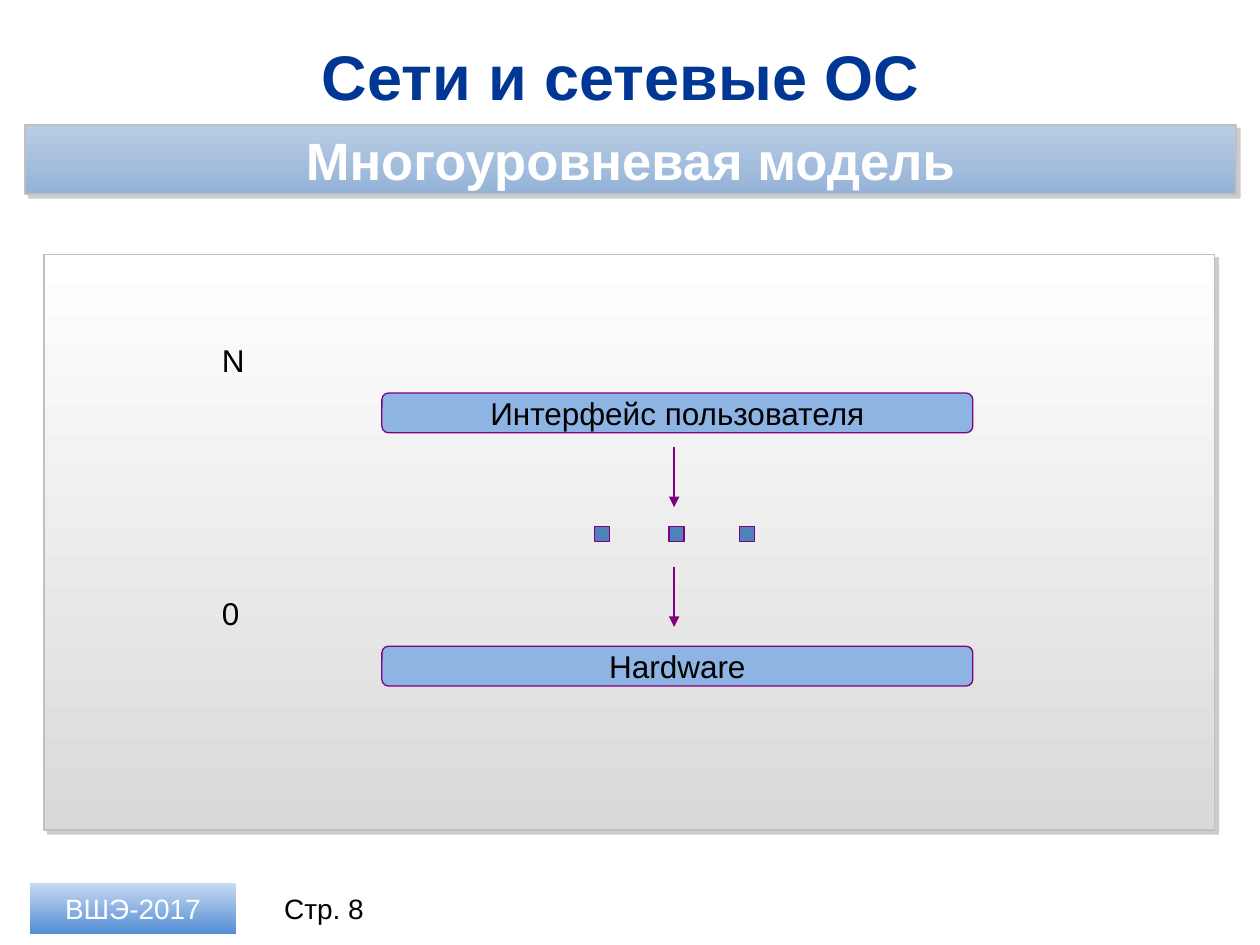
from collections import namedtuple

from lxml import etree
from pptx import Presentation
from pptx import util as u
from pptx.dml.color import RGBColor
from pptx.enum import shapes, text
from pptx.oxml.ns import qn

Pt = u.Pt
Box = namedtuple("Box", "left top width height")
FONT = "Arial"
COLORS = {
    "title": "003794", "white": "FFFFFF", "black": "000000",
    "panel_end": "D9D9D9", "border": "C0C0C0", "shadow": "808080",
    "banner_start": "B9CDE5", "banner_end": "95B3D7",
    "level": "8EB4E3", "outline": "800080", "dot": "4F81BD",
    "footer_start": "C6D9F1", "footer_end": "558ED5",
}


def color(name):
    return RGBColor.from_string(COLORS[name])


def place(shape, box):
    shape.left, shape.top, shape.width, shape.height = map(Pt, box)


def write(shape, words, size, ink, bold=False, align=text.PP_ALIGN.CENTER, wrap=True):
    frame = shape.text_frame
    frame.text = words
    frame.word_wrap = wrap
    frame.vertical_anchor = text.MSO_ANCHOR.MIDDLE
    para = frame.paragraphs[0]
    para.alignment = align
    for span in para.runs:
        span.font.name = FONT
        span.font.size = Pt(size)
        span.font.bold = bold
        span.font.color.rgb = color(ink)


def add_shape(page, kind, box, fills, line=None, width=0.75):
    shape = page.shapes.add_shape(kind, *map(Pt, box))
    shape.shadow.inherit = False
    if len(fills) == 1:
        shape.fill.solid()
        shape.fill.fore_color.rgb = color(fills[0])
    else:
        shape.fill.gradient()
        shape.fill.gradient_angle = 270
        for stop, name in zip(shape.fill.gradient_stops, fills):
            stop.color.rgb = color(name)
    if line:
        shape.line.color.rgb = color(line)
        shape.line.width = Pt(width)
    else:
        shape.line.fill.background()
    return shape


def add_framed_area(page, box, fills):
    area = add_shape(page, shapes.MSO_SHAPE.RECTANGLE, box, fills, "border", 1)
    effects = area._element.spPr.find(qn("a:effectLst"))
    shadow = etree.SubElement(effects, qn("a:outerShdw"), blurRad="0",
                              dist=str(Pt(3)), dir="2700000", algn="tl", rotWithShape="0")
    tint = etree.SubElement(shadow, qn("a:srgbClr"), val=COLORS["shadow"])
    etree.SubElement(tint, qn("a:alpha"), val="40000")
    return area


def add_arrow(page, x, top, length):
    arrow = page.shapes.add_connector(
        shapes.MSO_CONNECTOR.STRAIGHT, Pt(x), Pt(top), Pt(x), Pt(top + length))
    arrow.line.color.rgb = color("outline")
    arrow.line.width = Pt(0.75)
    etree.SubElement(arrow.line._get_or_add_ln(), qn("a:tailEnd"), type="triangle")
    etree.SubElement(arrow._element.spPr, qn("a:effectLst"))


def add_text(page, box, words, size, align):
    label = page.shapes.add_textbox(*map(Pt, box))
    write(label, words, size, "black", align=align)


def add_level(page, box, number, name):
    bar = add_shape(page, shapes.MSO_SHAPE.ROUNDED_RECTANGLE, box, ["level"], "outline")
    bar.adjustments[0] = 0.167
    write(bar, name, 18, "black", wrap=False)
    label_box = Box(box.left - 98.5, box.top - 33.5, 25.2, 29)
    add_text(page, label_box, number, 18, text.PP_ALIGN.LEFT)


def add_heading(page, box):
    place(page.shapes.title, Box(box.left + 10.8, box.top, box.width - 23, 49))
    write(page.shapes.title, "Сети и сетевые ОС ", 36, "title", bold=True)
    banner_box = Box(box.left, box.top + 52.6, box.width, 39.6)
    banner = add_framed_area(page, banner_box, ["banner_start", "banner_end"])
    write(banner, "Многоуровневая модель", 30, "white", bold=True)


def add_model(page, box):
    add_framed_area(page, box, ["white", "panel_end"])
    for top, number, name in [(79.2, "N", "Интерфейс пользователя"), (223.9, "0", "Hardware")]:
        add_level(page, Box(box.left + 193, box.top + top, 337.7, 22.7), number, name)
    for top in (110.2, 178.6):
        add_arrow(page, box.left + 360, box.top + top, 34.2)
    for left in (314.6, 357.1, 397.4):
        dot_box = Box(box.left + left, box.top + 155.5, 8.6, 8.6)
        add_shape(page, shapes.MSO_SHAPE.RECTANGLE, dot_box, ["dot"], "outline")


def add_footer(page, box):
    badge_box = Box(box.left, box.top, 117.4, box.height)
    badge = add_shape(page, shapes.MSO_SHAPE.RECTANGLE, badge_box, ["footer_start", "footer_end"])
    write(badge, "ВШЭ-2017", 16, "white")
    number_box = Box(box.left + 128.9, box.top, 77.8, box.height)
    add_text(page, number_box, "Стр. 8", 16, text.PP_ALIGN.CENTER)


def main():
    deck = Presentation()
    deck.slide_width, deck.slide_height = Pt(720), Pt(540)
    page = deck.slides.add_slide(deck.slide_layouts[5])
    add_heading(page, Box(14.4, 18.7, 692, 92.2))
    add_model(page, Box(25.2, 145.4, 668.9, 329))
    add_footer(page, Box(17.3, 504.7, 206.7, 28.8))
    deck.save("out.pptx")


if __name__ == "__main__":
    main()
